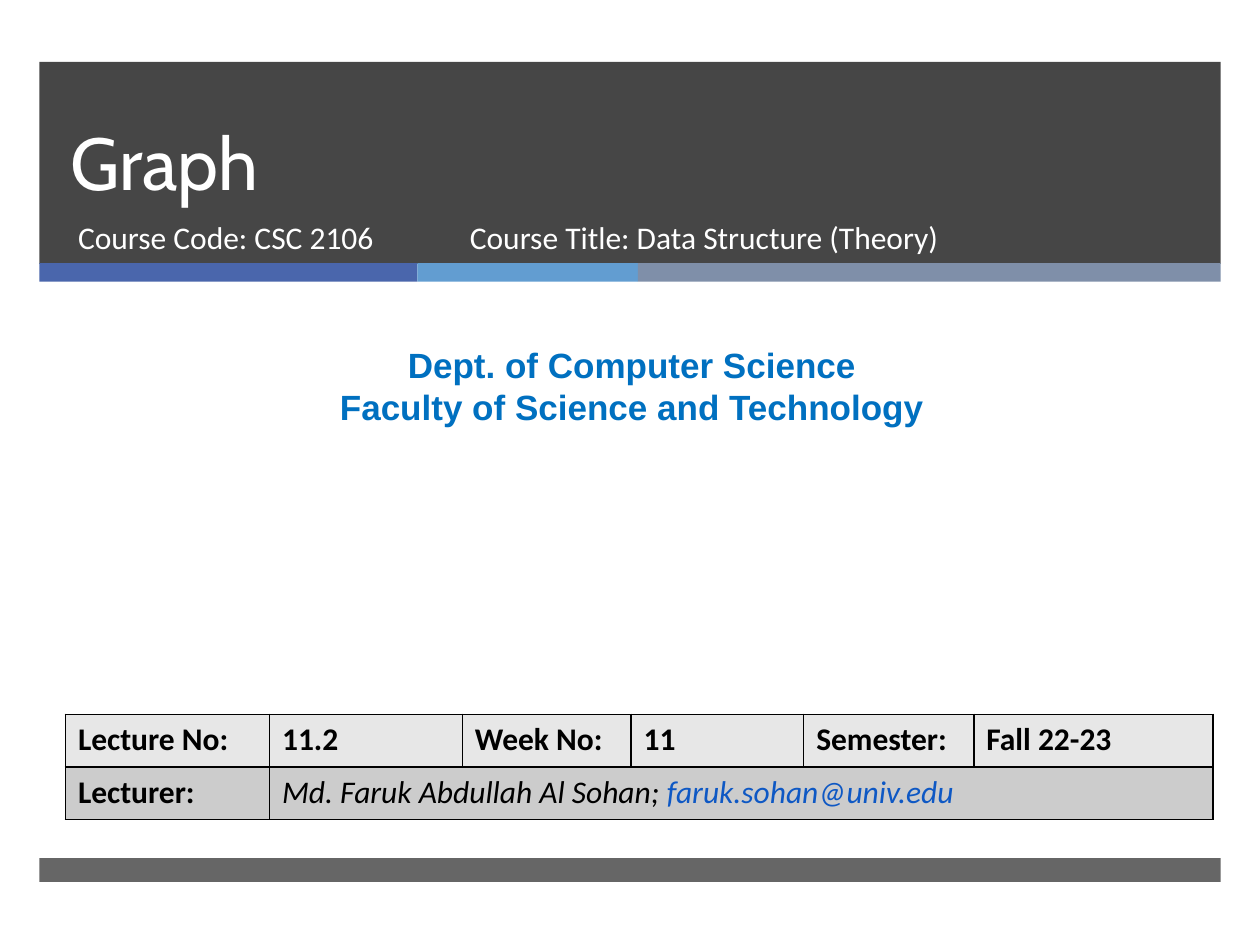
from lxml.etree import SubElement
from pptx import Presentation
from pptx.dml.color import RGBColor
from pptx.enum.shapes import MSO_SHAPE
from pptx.enum.text import MSO_ANCHOR, MSO_AUTO_SIZE, PP_ALIGN
from pptx.oxml import parse_xml
from pptx.oxml.ns import nsdecls, qn
from pptx.util import Pt

WHITE = RGBColor(0xFF, 0xFF, 0xFF)
BLACK = RGBColor(0, 0, 0)
CHARCOAL = RGBColor(0x26, 0x26, 0x26)
INDIGO = RGBColor(0x4A, 0x66, 0xAC)
SKY = RGBColor(0x62, 0x9D, 0xD1)
SLATE = RGBColor(0x7F, 0x8F, 0xA9)
BLUE = RGBColor(0x00, 0x70, 0xC0)
MAIL_BLUE = RGBColor(0x0E, 0x58, 0xC4)
LIGHT_GREY = RGBColor(0xE7, 0xE7, 0xE7)
MID_GREY = RGBColor(0xCC, 0xCC, 0xCC)

BAND_LEFT = 22.5
BAND_WIDTH = 675
COLUMN_WIDTHS = (116.6, 110.2, 96.5, 98.6, 97.2, 136.8)
ROW_HEIGHT = 30
LECTURE_ROW = ("Lecture No:", "11.2", "Week No:", "11", "Semester:", "Fall 22-23")


def add_band(slide, left, top, width, height, color, opacity=100):
    band = slide.shapes.add_shape(
        MSO_SHAPE.RECTANGLE, Pt(left), Pt(top), Pt(width), Pt(height))
    band.shadow.inherit = False
    band.line.fill.background()
    band.fill.solid()
    band.fill.fore_color.rgb = color
    if opacity < 100:
        color_element = band.element.spPr.find(qn("a:solidFill"))[0]
        SubElement(color_element, qn("a:alpha"), val=str(opacity * 1000))


def format_run(run, size, font, color, bold=False, italic=False):
    run.font.size = Pt(size)
    run.font.name = font
    run.font.color.rgb = color
    run.font.bold = bold
    run.font.italic = italic


def set_text(shape, text, size, font, color, bold=False, align=PP_ALIGN.LEFT):
    frame = shape.text_frame
    frame.text = text
    frame.word_wrap = True
    frame.auto_size = MSO_AUTO_SIZE.NONE
    for paragraph in frame.paragraphs:
        paragraph.alignment = align
        paragraph.space_before = Pt(0)
        for run in paragraph.runs:
            format_run(run, size, font, color, bold)


def place_placeholder(shape, left, top, width, height, anchor):
    shape.left, shape.top = Pt(left), Pt(top)
    shape.width, shape.height = Pt(width), Pt(height)
    shape.text_frame.vertical_anchor = anchor
    shape.element.getparent().append(shape.element)


def add_text(slide, left, top, width, height, text, *style):
    box = slide.shapes.add_textbox(Pt(left), Pt(top), Pt(width), Pt(height))
    set_text(box, text, *style)


def format_cell(cell, fill):
    properties = cell._tc.get_or_add_tcPr()
    for side in ("lnL", "lnR", "lnT", "lnB"):
        properties.append(parse_xml(
            f'<a:{side} {nsdecls("a")} w="12700"><a:solidFill>'
            f'<a:srgbClr val="{BLACK}"/></a:solidFill></a:{side}>'))
    cell.fill.solid()
    cell.fill.fore_color.rgb = fill


def add_lecture_table(slide):
    table = slide.shapes.add_table(
        2, len(COLUMN_WIDTHS), Pt(37.4), Pt(408.2),
        Pt(sum(COLUMN_WIDTHS)), Pt(2 * ROW_HEIGHT)).table
    for column, width in zip(table.columns, COLUMN_WIDTHS):
        column.width = Pt(width)
    for row, fill in zip(table.rows, (LIGHT_GREY, MID_GREY)):
        row.height = Pt(ROW_HEIGHT)
        for cell in row.cells:
            format_cell(cell, fill)

    lecturer = table.cell(1, 1)
    lecturer.merge(table.cell(1, len(COLUMN_WIDTHS) - 1))
    labels = [table.cell(0, index) for index in range(len(LECTURE_ROW))]
    labels.append(table.cell(1, 0))
    for cell, text in zip(labels, LECTURE_ROW + ("Lecturer:",)):
        cell.text_frame.text = text
        format_run(cell.text_frame.paragraphs[0].runs[0], 18, "Calibri", BLACK, True)
    for text, color in (("Md. Faruk Abdullah Al Sohan; ", BLACK),
                        ("faruk.sohan@univ.edu", MAIL_BLUE)):
        run = lecturer.text_frame.paragraphs[0].add_run()
        run.text = text
        format_run(run, 18, "Calibri", color, italic=True)


def main():
    presentation = Presentation()
    presentation.slide_width, presentation.slide_height = Pt(720), Pt(540)
    slide = presentation.slides.add_slide(presentation.slide_layouts[0])

    add_band(slide, BAND_LEFT, 35.3, BAND_WIDTH, 115.5, CHARCOAL, 85)
    left = BAND_LEFT
    for width, color in ((216, INDIGO), (126, SKY), (333, SLATE)):
        add_band(slide, left, 150.4, width, 10.6, color)
        left += width
    add_band(slide, BAND_LEFT, 490.3, BAND_WIDTH, 13.7, CHARCOAL, 70)

    title, subtitle = slide.shapes.title, slide.placeholders[1]
    set_text(title, "Graph", 42, "Cabin", WHITE)
    title.text_frame.paragraphs[0].line_spacing = Pt(46)
    place_placeholder(title, 33.1, 35.3, 615, 85.7, MSO_ANCHOR.BOTTOM)
    set_text(subtitle, "Course Code: CSC 2106", 18, "Calibri", WHITE)
    place_placeholder(subtitle, 37.4, 121, 219.6, 38, MSO_ANCHOR.TOP)

    add_text(slide, 5.8, 193, 710.6, 55.4,
             "Dept. of Computer Science\nFaculty of Science and Technology",
             20, "Arial", BLUE, True, PP_ALIGN.CENTER)
    add_lecture_table(slide)
    add_text(slide, 261.4, 121, 327.6, 38,
             "Course Title: Data Structure (Theory)", 18, "Calibri", WHITE)

    presentation.save("out.pptx")


main()
